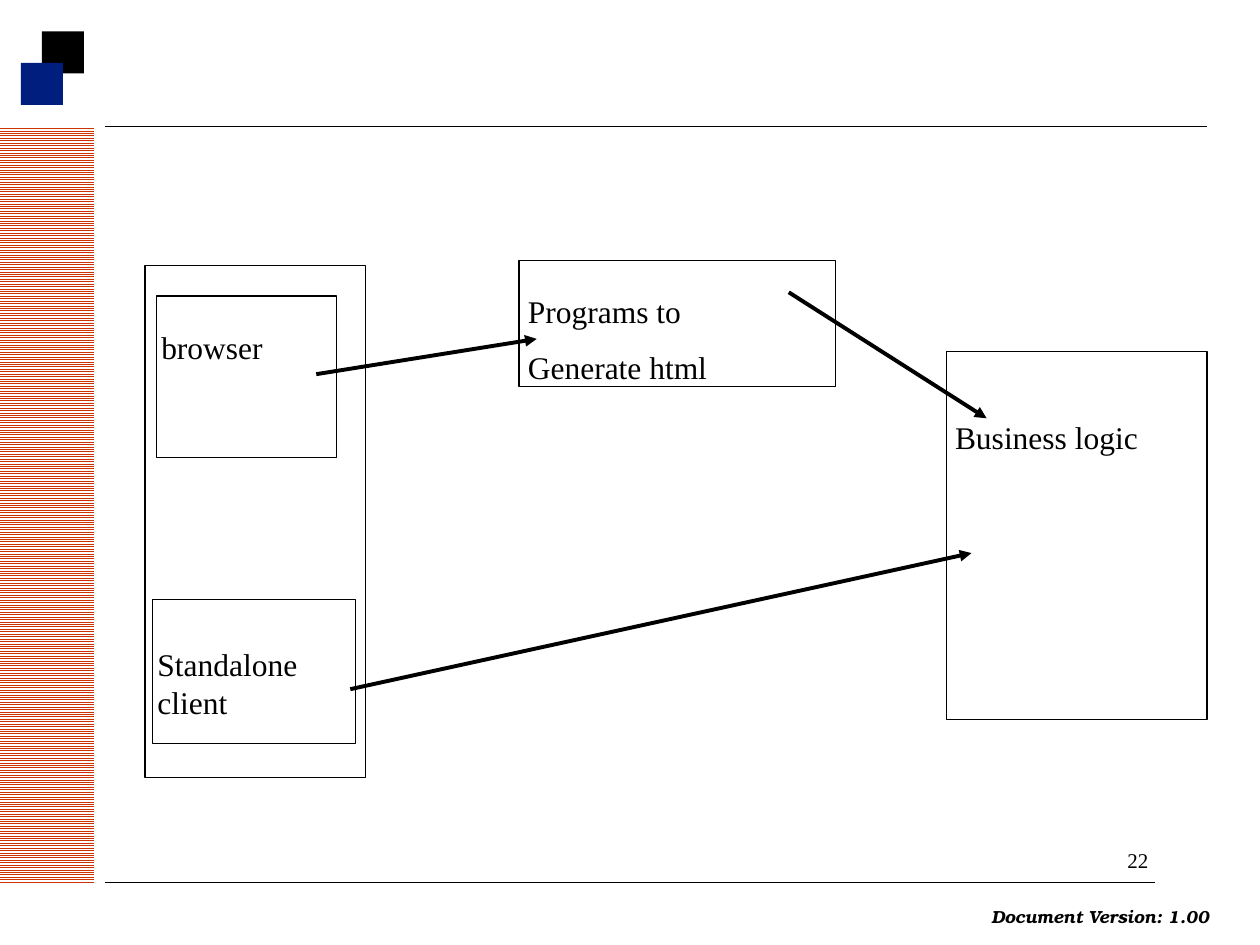
from dataclasses import dataclass

from pptx import Presentation, util as u
from pptx.dml.color import RGBColor
from pptx.enum import dml, shapes, text
from pptx.oxml import xmlchemy as xml


@dataclass(frozen=True)
class Theme:
    ink: str = "000000"
    paper: str = "FFFFFF"
    rust: str = "CC3300"
    navy: str = "001E7E"
    serif: str = "Times New Roman"
    bold: str = "TeX Gyre Bonum"
    body: int = 18
    page: int = 12
    foot: int = 10
    gap: int = 10
    hair: float = 0.25
    edge: float = 0.75
    arrow: float = 2.25


class Board:
    """Draws on one slide; lengths are columns and rows of a 100 x 75 grid."""

    cols, rows = 100, 75

    def __init__(self, deck, theme):
        self.theme = theme
        self.slide = deck.slides.add_slide(deck.slide_layouts[6])
        self.col = deck.slide_width / self.cols
        self.row = deck.slide_height / self.rows

    def place(self, x, y, *size):
        pairs = zip((x, y) + size, (self.col, self.row) * 2)
        return [u.Emu(round(n * unit)) for n, unit in pairs]

    def rect(self, *area):
        box = self.slide.shapes.add_shape(
            shapes.MSO_SHAPE.RECTANGLE, *self.place(*area))
        box.shadow.inherit = False
        return box

    def block(self, area, color):
        box = self.rect(*area)
        box.fill.solid()
        box.fill.fore_color.rgb = RGBColor.from_string(color)
        box.line.fill.background()

    def band(self, area, turn):
        box = self.rect(*area)
        box.rotation = turn
        box.fill.patterned()
        box.fill.pattern = dml.MSO_PATTERN.LIGHT_HORIZONTAL
        box.fill.fore_color.rgb = RGBColor.from_string(self.theme.rust)
        box.fill.back_color.rgb = RGBColor.from_string(self.theme.paper)
        box.line.fill.background()

    def frame(self, *area):
        box = self.rect(*area)
        box.fill.background()
        box.line.color.rgb = RGBColor.from_string(self.theme.ink)
        box.line.width = u.Pt(self.theme.edge)

    def label(self, area, lines, size, font=None, wrap=True, strong=False):
        box = self.slide.shapes.add_textbox(*self.place(*area)).text_frame
        box.word_wrap = wrap
        box.auto_size = text.MSO_AUTO_SIZE.SHAPE_TO_FIT_TEXT
        if wrap:
            box.margin_left = box.margin_right = 0
            box.margin_top = box.margin_bottom = 0
        box.text = "\n".join(lines)
        for i, para in enumerate(box.paragraphs):
            para.font.name = font or self.theme.serif
            para.font.size = u.Pt(size)
            para.font.bold = para.font.italic = strong
            para.font.color.rgb = RGBColor.from_string(self.theme.ink)
            if i:
                para.space_before = u.Pt(self.theme.gap)

    def line(self, start, end, width, arrow=False):
        link = self.slide.shapes.add_connector(
            shapes.MSO_CONNECTOR.STRAIGHT, *self.place(*start), *self.place(*end))
        link.line.color.rgb = RGBColor.from_string(self.theme.ink)
        link.line.width = u.Pt(width)
        if arrow:
            tip = xml.OxmlElement("a:tailEnd")
            tip.set("type", "triangle")
            link.line._get_or_add_ln().append(tip)
        link._element.spPr.append(xml.OxmlElement("a:effectLst"))


def main():
    deck = Presentation()
    deck.slide_width, deck.slide_height = u.Inches(10), u.Inches(7.5)
    theme = Theme()
    board = Board(deck, theme)

    # Side band, rules and corner squares
    board.band((-26.25, 36.25, 60, 7.5), 270)
    board.line((8.33, 10), (95.83, 10), theme.hair)
    board.block((3.33, 2.5, 3.33, 3.33), theme.ink)
    board.block((1.67, 5, 3.33, 3.33), theme.navy)
    board.line((8.33, 70), (91.67, 70), theme.hair)

    # Footer
    board.label((77.7, 71.4, 19.4, 2.7), ["Document Version: 1.00"],
                theme.foot, theme.bold, wrap=False, strong=True)
    board.label((88.5, 66.8, 4, 3), ["22"], theme.page, wrap=False)

    # Client tier, then the parts: frame, text area, lines
    board.frame(11.5, 21.1, 17.5, 40.6)
    parts = [
        ((12.4, 23.5, 14.3, 12.8), (12.8, 26, 12.5, 3), ["browser"]),
        ((12.1, 47.6, 16.1, 11.4), (12.5, 51.2, 15.3, 6), ["Standalone client"]),
        ((75.1, 27.9, 20.7, 29.2), (75.8, 33.2, 19.3, 3), ["Business logic"]),
        ((41.2, 20.7, 25.1, 10), (41.9, 23.2, 23.9, 7.5),
         ["Programs to", "Generate html"]),
    ]
    for area, inner, lines in parts:
        board.frame(*area)
        board.label(inner, lines, theme.body)

    # Calls between the parts
    calls = [
        ((27.8, 54.7), (77.1, 43.9)),
        ((25.1, 29.7), (42.6, 26.9)),
        ((62.6, 23.2), (78.3, 33.2)),
    ]
    for start, end in calls:
        board.line(start, end, theme.arrow, arrow=True)

    deck.save("out.pptx")


if __name__ == "__main__":
    main()
